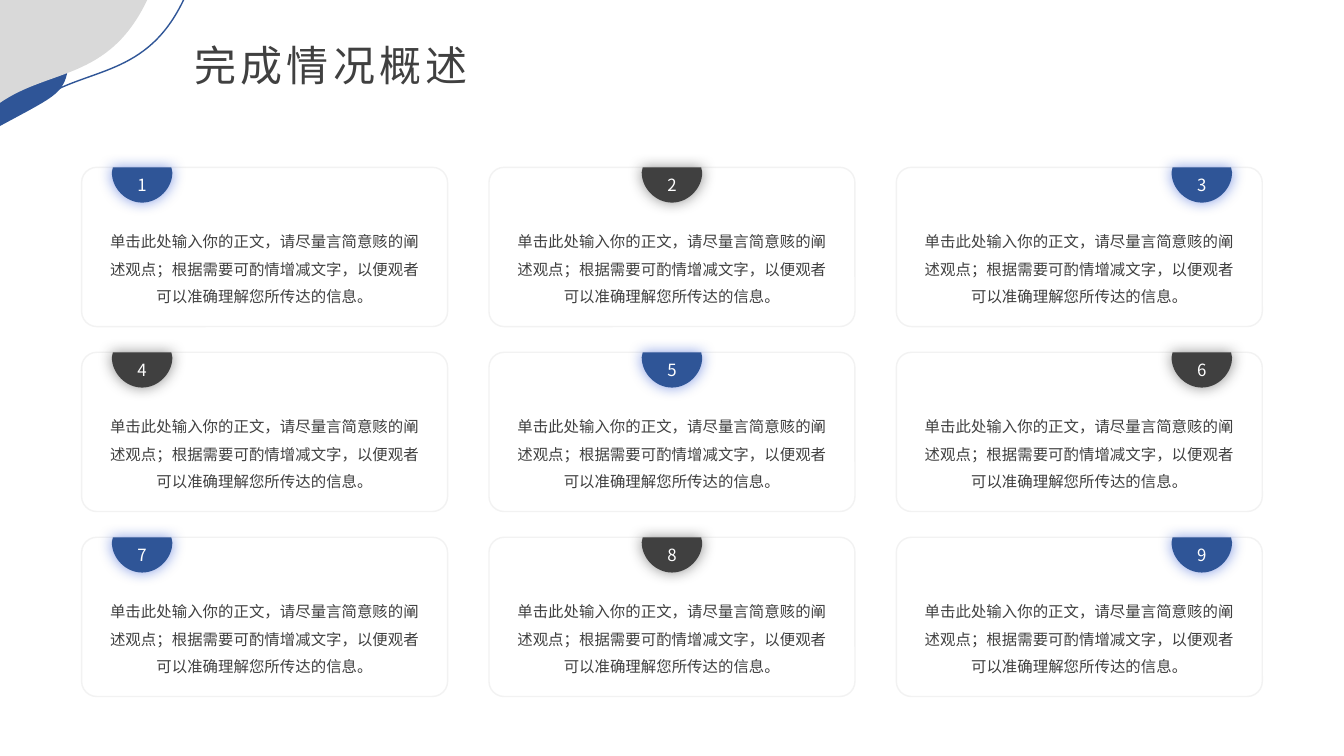
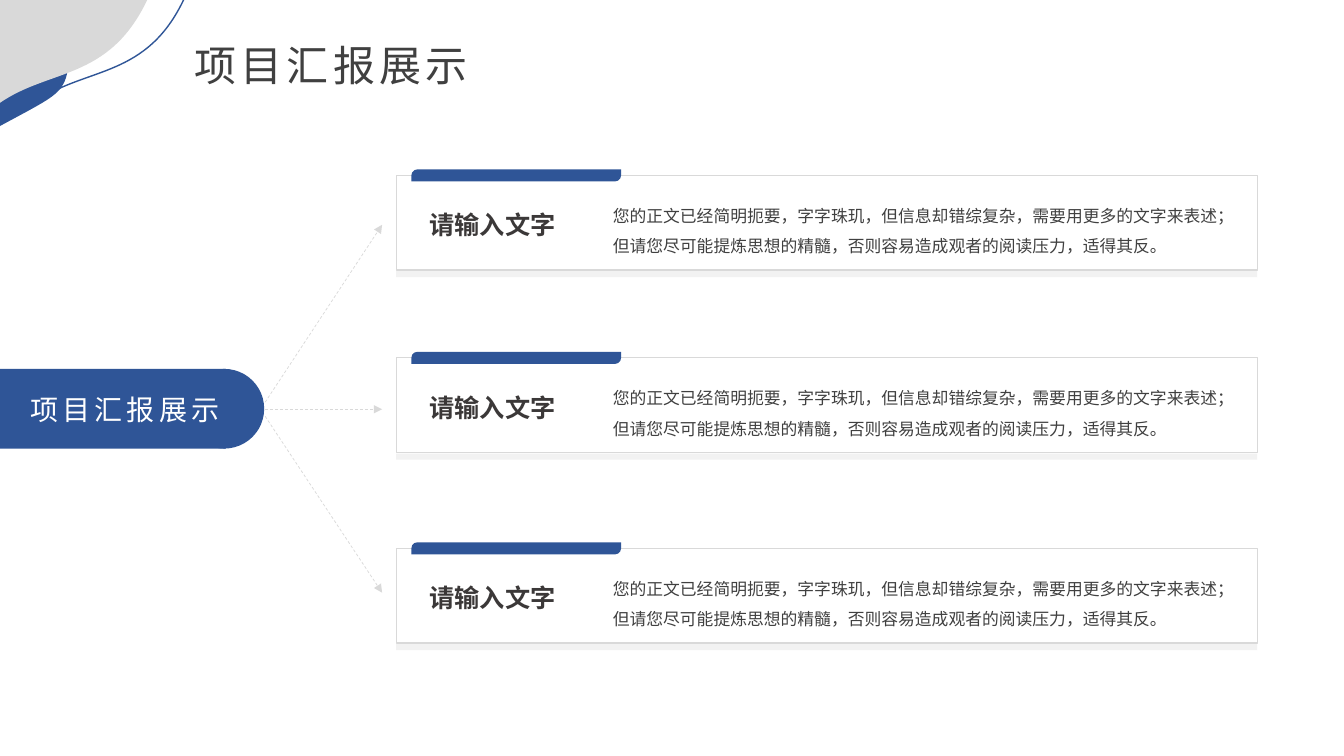
from dataclasses import dataclass

from lxml import etree
from pptx import Presentation
from pptx import util as u
from pptx.dml.color import RGBColor
from pptx.enum import dml, shapes, text
from pptx.oxml.ns import qn

Point = tuple[float, float]
Box = tuple[float, float, float, float]
# One point is a straight segment; three are two controls and an end
Segment = tuple[Point, ...]


# Theme
@dataclass(frozen=True)
class Theme:
    font: str = "Noto Sans CJK SC"
    blue: str = "2F5597"
    blue_glow: str = "113ECC"
    dark: str = "404040"
    dark_glow: str = "262626"
    heading: str = "3B3838"
    grey: str = "D9D9D9"
    pale: str = "F2F2F2"
    white: str = "FFFFFF"
    title_size: int = 30
    hub_size: int = 20
    heading_size: int = 18
    body_size: int = 12
    card_size: int = 11
    spacing: int = 3


THEME = Theme()


@dataclass(frozen=True)
class TextStyle:
    size: int
    color: str = THEME.dark
    bold: bool = False
    spacing: int = 0
    align: text.PP_ALIGN = text.PP_ALIGN.LEFT
    line_spacing: float = 1.0


TITLE = TextStyle(THEME.title_size, spacing=THEME.spacing)
HUB = TextStyle(THEME.hub_size, THEME.white, spacing=THEME.spacing)
HEADING = TextStyle(THEME.heading_size, THEME.heading, bold=True)
BODY = TextStyle(THEME.body_size, line_spacing=1.5)
CARD = TextStyle(THEME.card_size, align=text.PP_ALIGN.CENTER, line_spacing=1.5)
BADGE = TextStyle(THEME.body_size, THEME.white, align=text.PP_ALIGN.CENTER)


# Drawing helpers
def inches(*values: float) -> list[int]:
    return [u.Inches(value) for value in values]


def write(frame, wording: str, style: TextStyle) -> None:
    frame.text = wording
    frame.word_wrap = True
    paragraph = frame.paragraphs[0]
    paragraph.alignment = style.align
    paragraph.line_spacing = style.line_spacing
    run = paragraph.runs[0]
    run.font.size = u.Pt(style.size)
    run.font.bold = style.bold
    run.font.color.rgb = RGBColor.from_string(style.color)
    run.font.name = THEME.font
    properties = run._r.get_or_add_rPr()
    etree.SubElement(properties, qn("a:ea"), typeface=THEME.font)
    if style.spacing:
        properties.set("spc", str(style.spacing * 100))


def add_text(slide, box: Box, wording: str, style: TextStyle, inset: bool = True) -> None:
    frame = slide.shapes.add_textbox(*inches(*box)).text_frame
    write(frame, wording, style)
    frame.auto_size = text.MSO_AUTO_SIZE.SHAPE_TO_FIT_TEXT
    if not inset:
        frame.margin_left = frame.margin_right = 0
        frame.margin_top = frame.margin_bottom = 0


def paint(shape, fill: str | None = None, line: str | None = None) -> None:
    shape.shadow.inherit = False
    if fill:
        shape.fill.solid()
        shape.fill.fore_color.rgb = RGBColor.from_string(fill)
    else:
        shape.fill.background()
    if line:
        shape.line.color.rgb = RGBColor.from_string(line)
        shape.line.width = u.Pt(1)
    else:
        shape.line.fill.background()


def add_block(slide, kind: shapes.MSO_SHAPE, box: Box, fill: str,
              line: str | None = None, adjustments: tuple[float, ...] = ()) -> None:
    block = slide.shapes.add_shape(kind, *inches(*box))
    paint(block, fill, line)
    for index, value in enumerate(adjustments):
        block.adjustments[index] = value


def add_outline(slide, start: Point, segments: list[Segment]):
    builder = slide.shapes.build_freeform(*inches(*start))
    builder.add_line_segments([tuple(inches(*segment[-1])) for segment in segments],
                              close=True)
    outline = builder.convert_to_shape()
    # Bend the segments that have control points
    edges = list(outline.element.iter(qn("a:lnTo")))
    for edge, segment in zip(edges, segments):
        if len(segment) == 3:
            bend = etree.Element(qn("a:cubicBezTo"))
            for x, y in segment:
                etree.SubElement(bend, qn("a:pt"), x=str(u.Inches(x) - outline.left),
                                 y=str(u.Inches(y) - outline.top))
            edge.getparent().replace(edge, bend)
    return outline


# Shared frame: corner waves and title
@dataclass(frozen=True)
class Wave:
    corner: Point
    foot: Point
    bend: Segment
    fill: str | None = None
    line: str | None = None


WAVES = (
    Wave((0.37, -0.02), (0.37, 1), ((0.86, 0.66), (1.46, 0.78), (1.83, -0.02)),
         line=THEME.blue),
    Wave((0, 0), (0, 1.25), ((0.85, 0.79), (0.58, 0.99), (0.78, 0)), fill=THEME.blue),
    Wave((0, 0), (0, 1.02), ((0.49, 0.68), (1.08, 0.8), (1.46, 0)), fill=THEME.grey),
)


def add_framed_slide(deck, title: str):
    slide = deck.slides.add_slide(deck.slide_layouts.get_by_name("Title Only"))
    for wave in WAVES:
        outline = add_outline(slide, wave.corner, [(wave.foot,), wave.bend, (wave.corner,)])
        paint(outline, wave.fill, wave.line)
    heading = slide.shapes.title
    heading.left, heading.top, heading.width, heading.height = inches(1.83, 0.34, 3.43, 0.61)
    write(heading.text_frame, title, TITLE)
    heading.text_frame.vertical_anchor = text.MSO_ANCHOR.TOP
    heading.text_frame.auto_size = text.MSO_AUTO_SIZE.SHAPE_TO_FIT_TEXT
    return slide


# Overview: three by three numbered cards
CARD_TEXT = ("单击此处输入你的正文，请尽量言简意赅的阐述观点；"
             "根据需要可酌情增减文字，以便观者可以准确理解您所传达的信息。")
COLUMNS = ROWS = 3
CARD_WIDTH, CARD_HEIGHT = 3.63, 1.58
COLUMN_PITCH = 4.04
ROW_PITCH = (5.33 - 1.66) / (ROWS - 1)
BADGE_WIDTH, BADGE_MARGIN = 0.6, 0.3
BADGE_STEP = (CARD_WIDTH - 2 * BADGE_MARGIN - BADGE_WIDTH) / (COLUMNS - 1)


def add_badge(slide, left: float, top: float, number: int) -> None:
    radius, pull = BADGE_WIDTH / 2, 0.16
    right, middle = left + BADGE_WIDTH, left + radius
    side, bottom = top + 0.05, top + 0.35
    badge = add_outline(slide, (left + 0.01, top), [
        ((right - 0.01, top),),
        ((right, side),),
        ((right, side + pull), (middle + pull, bottom), (middle, bottom)),
        ((middle - pull, bottom), (left, side + pull), (left, side)),
    ])
    fill, glow = ((THEME.blue, THEME.blue_glow) if number % 2
                  else (THEME.dark, THEME.dark_glow))
    paint(badge, fill)
    effects = badge.element.spPr.find(qn("a:effectLst"))
    shadow = etree.SubElement(effects, qn("a:outerShdw"), blurRad=str(u.Pt(10)),
                              dist="0", dir="0", algn="ctr", rotWithShape="0")
    color = etree.SubElement(shadow, qn("a:srgbClr"), val=glow)
    etree.SubElement(color, qn("a:alpha"), val="50000")
    write(badge.text_frame, str(number), BADGE)
    badge.text_frame.vertical_anchor = text.MSO_ANCHOR.MIDDLE


def build_overview(deck) -> None:
    slide = add_framed_slide(deck, "完成情况概述")
    for index in range(ROWS * COLUMNS):
        row, column = divmod(index, COLUMNS)
        left, top = 0.81 + column * COLUMN_PITCH, 1.66 + row * ROW_PITCH
        add_block(slide, shapes.MSO_SHAPE.ROUNDED_RECTANGLE,
                  (left, top, CARD_WIDTH, CARD_HEIGHT), THEME.white, THEME.pale, (0.095,))
        add_badge(slide, left + BADGE_MARGIN + column * BADGE_STEP, top, index + 1)
        add_text(slide, (left + 0.18, top + 0.5, 3.27, 0.91), CARD_TEXT, CARD)


# Report: one hub pointing at three panels
@dataclass(frozen=True)
class Panel:
    top: float
    arrow_start: float
    arrow_end: float


PANELS = (Panel(1.74, 3.99, 2.23), Panel(3.55, 4.06, 4.06), Panel(5.44, 4.13, 5.88))
PANEL_HEADING = "请输入文字"
PANEL_TEXT = ("您的正文已经简明扼要，字字珠玑，但信息却错综复杂，需要用更多的文字来表述；"
              "但请您尽可能提炼思想的精髓，否则容易造成观者的阅读压力，适得其反。")
PANEL_LEFT, PANEL_WIDTH = 3.93, 8.54


def add_arrow(slide, start: Point, end: Point) -> None:
    arrow = slide.shapes.add_connector(shapes.MSO_CONNECTOR.STRAIGHT, *inches(*start, *end))
    arrow.line.color.rgb = RGBColor.from_string(THEME.grey)
    arrow.line.width = u.Pt(0.5)
    arrow.line.dash_style = dml.MSO_LINE.DASH
    etree.SubElement(arrow.line._get_or_add_ln(), qn("a:tailEnd"), type="triangle")
    etree.SubElement(arrow.element.spPr, qn("a:effectLst"))


def add_panel(slide, top: float) -> None:
    add_block(slide, shapes.MSO_SHAPE.ROUNDED_RECTANGLE,
              (PANEL_LEFT, top, PANEL_WIDTH, 0.94), THEME.white, THEME.grey, (0,))
    add_block(slide, shapes.MSO_SHAPE.ROUND_2_DIAG_RECTANGLE,
              (PANEL_LEFT + 0.15, top - 0.06, 2.08, 0.12), THEME.blue, adjustments=(0.5, 0))
    add_text(slide, (PANEL_LEFT + 0.33, top + 0.34, 1.72, 0.3), PANEL_HEADING, HEADING,
             inset=False)
    add_text(slide, (PANEL_LEFT + 2.05, top + 0.15, 6.46, 0.68), PANEL_TEXT, BODY)
    add_block(slide, shapes.MSO_SHAPE.RECTANGLE,
              (PANEL_LEFT, top + 0.95, PANEL_WIDTH, 0.06), THEME.pale)


def build_report(deck) -> None:
    topic = "项目汇报展示"
    slide = add_framed_slide(deck, topic)
    add_block(slide, shapes.MSO_SHAPE.RECTANGLE, (0, 3.66, 2.24, 0.79), THEME.blue)
    add_block(slide, shapes.MSO_SHAPE.OVAL, (1.83, 3.66, 0.79, 0.79), THEME.blue)
    add_text(slide, (0.2, 3.84, 2.31, 0.44), topic, HUB)
    for panel in PANELS:
        add_arrow(slide, (2.63, panel.arrow_start), (3.79, panel.arrow_end))
        add_panel(slide, panel.top)


def main() -> None:
    deck = Presentation()
    deck.slide_width, deck.slide_height = inches(13.33, 7.5)
    build_overview(deck)
    build_report(deck)
    deck.save("out.pptx")


if __name__ == "__main__":
    main()
